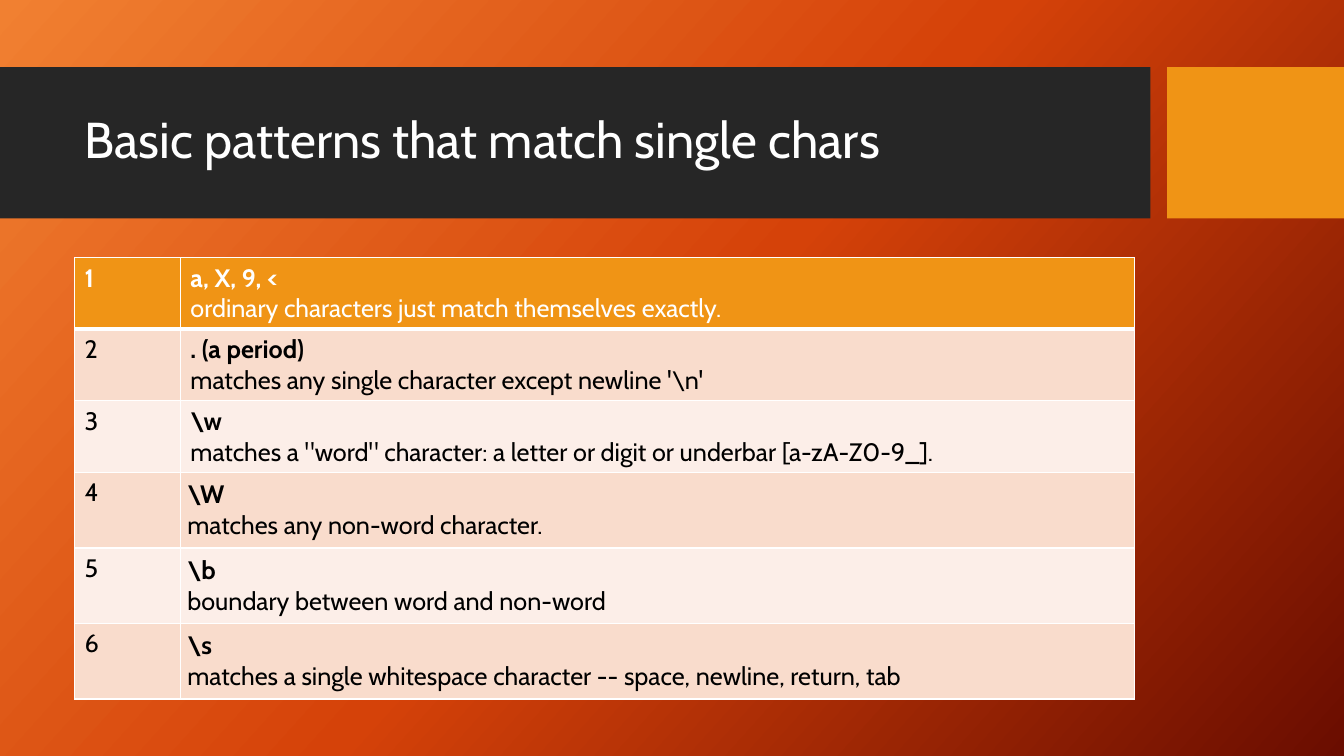
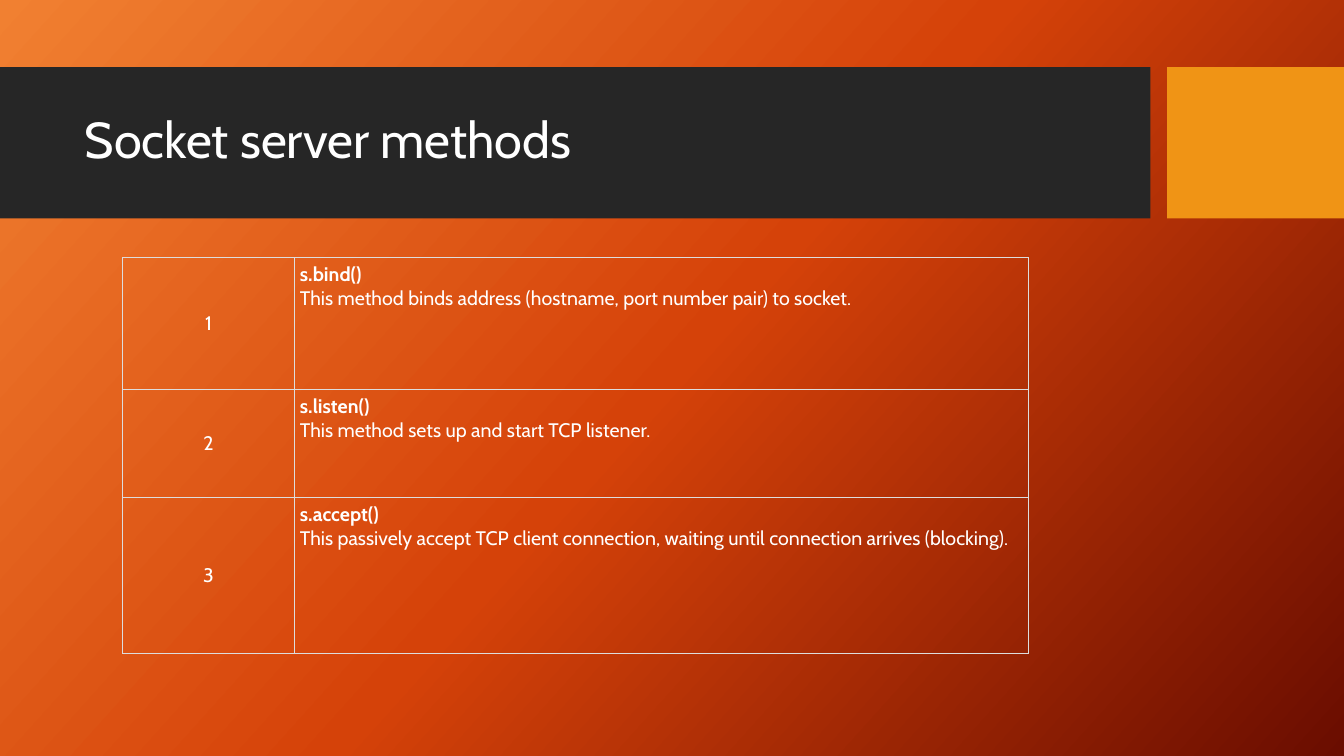
from copy import deepcopy

from lxml.etree import SubElement
from pptx import Presentation
from pptx.dml.color import RGBColor
from pptx.enum.shapes import MSO_SHAPE
from pptx.enum.text import MSO_ANCHOR, MSO_AUTO_SIZE, PP_ALIGN
from pptx.oxml.ns import qn
from pptx.util import Pt

WHITE = RGBColor(0xFF, 0xFF, 0xFF)
BLACK = RGBColor(0x00, 0x00, 0x00)
CHARCOAL = RGBColor(0x26, 0x26, 0x26)
AMBER = RGBColor(0xF0, 0x94, 0x15)
PEACH = RGBColor(0xF9, 0xDC, 0xCC)
PALE_PEACH = RGBColor(0xFC, 0xEE, 0xE8)
SILVER = RGBColor(0xDD, 0xDD, 0xDD)
GRADIENT = [
    (0, RGBColor(0xF1, 0x80, 0x31)),
    (0.5, RGBColor(0xD5, 0x42, 0x09)),
    (1, RGBColor(0x6A, 0x0D, 0x00)),
]
FONT = "Cabin"
SLIDE_WIDTH, SLIDE_HEIGHT = Pt(960), Pt(540)
TITLE_BOX = (Pt(53.3), Pt(59), Pt(757), Pt(85))
BANDS = [
    ((Pt(0), Pt(48), Pt(821.8), Pt(108)), CHARCOAL),
    ((Pt(833.6), Pt(48), Pt(126.4), Pt(108)), AMBER),
]
PATTERNS = [
    ("a, X, 9, <", "ordinary characters just match themselves exactly."),
    (". (a period)", "matches any single character except newline '\\n'"),
    ("\\w", 'matches a "word" character: a letter or digit or underbar [a-zA-Z0-9_].'),
    ("\\W", "matches any non-word character."),
    ("\\b", "boundary between word and non-word"),
    ("\\s", "matches a single whitespace character -- space, newline, return, tab"),
]
METHODS = [
    ("s.bind()", "This method binds address (hostname, port number pair) to socket."),
    ("s.listen()", "This method sets up and start TCP listener."),
    ("s.accept()", "This passively accept TCP client connection, waiting until connection arrives (blocking)."),
]


def apply_format(target, values):
    """Set each named attribute of the target."""
    for name, value in values.items():
        setattr(target, name, value)


def format_text(paragraph, size, color, bold=False, **layout):
    """Style one paragraph and its font."""
    apply_format(paragraph, layout)
    apply_format(paragraph.font, {"name": FONT, "size": Pt(size), "bold": bold})
    paragraph.font.color.rgb = color


def set_background(master):
    """Give the master the diagonal three-colour gradient."""
    fill = master.background.fill
    fill.gradient()
    fill.gradient_angle = 318
    stop_list = master.element.find(".//" + qn("a:gsLst"))
    stop_list.append(deepcopy(stop_list[-1]))
    for stop, (position, color) in zip(fill.gradient_stops, GRADIENT):
        stop.position = position
        stop.color.rgb = color


def add_titled_slide(presentation, text):
    """Add a slide with its bands behind the title."""
    slide = presentation.slides.add_slide(presentation.slide_layouts[5])
    title = slide.shapes.title
    for box, color in BANDS:
        band = slide.shapes.add_shape(MSO_SHAPE.RECTANGLE, *box)
        band.shadow.inherit = False
        band.fill.solid()
        band.fill.fore_color.rgb = color
        band.line.fill.background()
        title.element.addprevious(band.element)
    apply_format(title, dict(zip(("left", "top", "width", "height"), TITLE_BOX)))
    title.text = text
    apply_format(title.text_frame, {
        "auto_size": MSO_AUTO_SIZE.NONE,
        "word_wrap": True,
        "vertical_anchor": MSO_ANCHOR.MIDDLE,
    })
    format_text(title.text_frame.paragraphs[0], 36, WHITE,
                alignment=PP_ALIGN.LEFT, line_spacing=0.9)
    return slide


def set_borders(cell, color, widths):
    """Draw the left, right, top and bottom borders of a cell."""
    properties = cell._tc.get_or_add_tcPr()
    for side, width in zip("LRTB", widths):
        line = SubElement(properties, qn(f"a:ln{side}"), w=str(int(Pt(width))))
        solid = SubElement(line, qn("a:solidFill"))
        SubElement(solid, qn("a:srgbClr"), val=str(color))


def set_margins(cell, margin):
    """Give a cell the same margin on all sides."""
    apply_format(cell, {f"margin_{side}": Pt(margin)
                        for side in ("left", "right", "top", "bottom")})


def add_numbered_table(slide, left, top, column_widths, row_heights, entries):
    """Place a table of numbers beside bold terms and their explanations."""
    frame = slide.shapes.add_table(
        len(entries), 2, Pt(left), Pt(top), Pt(sum(column_widths)), Pt(sum(row_heights)))
    table = frame.table
    table.horz_banding = False
    for column, width in zip(table.columns, column_widths):
        column.width = Pt(width)
    for row, height in zip(table.rows, row_heights):
        row.height = Pt(height)
    for index, lines in enumerate(entries):
        table.cell(index, 0).text = str(index + 1)
        table.cell(index, 1).text = "\n".join(lines)
    return table


def build_patterns_slide(presentation):
    """Build the slide on patterns with a banded table."""
    slide = add_titled_slide(presentation, "Basic patterns that match single chars")
    table = add_numbered_table(
        slide, 53.3, 184, (75.6, 681.6), [51] * 3 + [53.6] * 3, PATTERNS)
    for index, row in enumerate(table.rows):
        is_header = index == 0
        band_color = PALE_PEACH if index % 2 == 0 else PEACH
        color = WHITE if is_header else BLACK
        number, entry = row.cells
        for cell in row.cells:
            set_borders(cell, WHITE, (1, 1, 3 if index == 1 else 1, 3 if is_header else 1))
            cell.fill.solid()
            cell.fill.fore_color.rgb = AMBER if is_header else band_color
        if index >= 3:
            set_margins(entry, 5)
        format_text(number.text_frame.paragraphs[0], 18, color, is_header)
        alignment = PP_ALIGN.JUSTIFY if index == 3 else PP_ALIGN.LEFT
        for paragraph, bold in zip(entry.text_frame.paragraphs, (True, False)):
            format_text(paragraph, 18, color, bold, alignment=alignment)


def build_methods_slide(presentation):
    """Build the slide on socket methods with an outlined table."""
    slide = add_titled_slide(presentation, "Socket server methods")
    table = add_numbered_table(slide, 87.5, 184, (123, 524), (94, 77, 112), METHODS)
    table.first_row = False
    for row in table.rows:
        number, entry = row.cells
        for cell in row.cells:
            set_borders(cell, SILVER, [0.6] * 4)
            cell.fill.background()
            set_margins(cell, 3.75)
        number.vertical_anchor = MSO_ANCHOR.MIDDLE
        format_text(number.text_frame.paragraphs[0], 14, WHITE, alignment=PP_ALIGN.CENTER)
        for paragraph, bold in zip(entry.text_frame.paragraphs, (True, False)):
            format_text(paragraph, 14, WHITE, bold, alignment=PP_ALIGN.JUSTIFY)


def main():
    """Build and save the presentation."""
    presentation = Presentation()
    apply_format(presentation, {"slide_width": SLIDE_WIDTH, "slide_height": SLIDE_HEIGHT})
    set_background(presentation.slide_master)
    build_patterns_slide(presentation)
    build_methods_slide(presentation)
    presentation.save("out.pptx")


if __name__ == "__main__":
    main()
